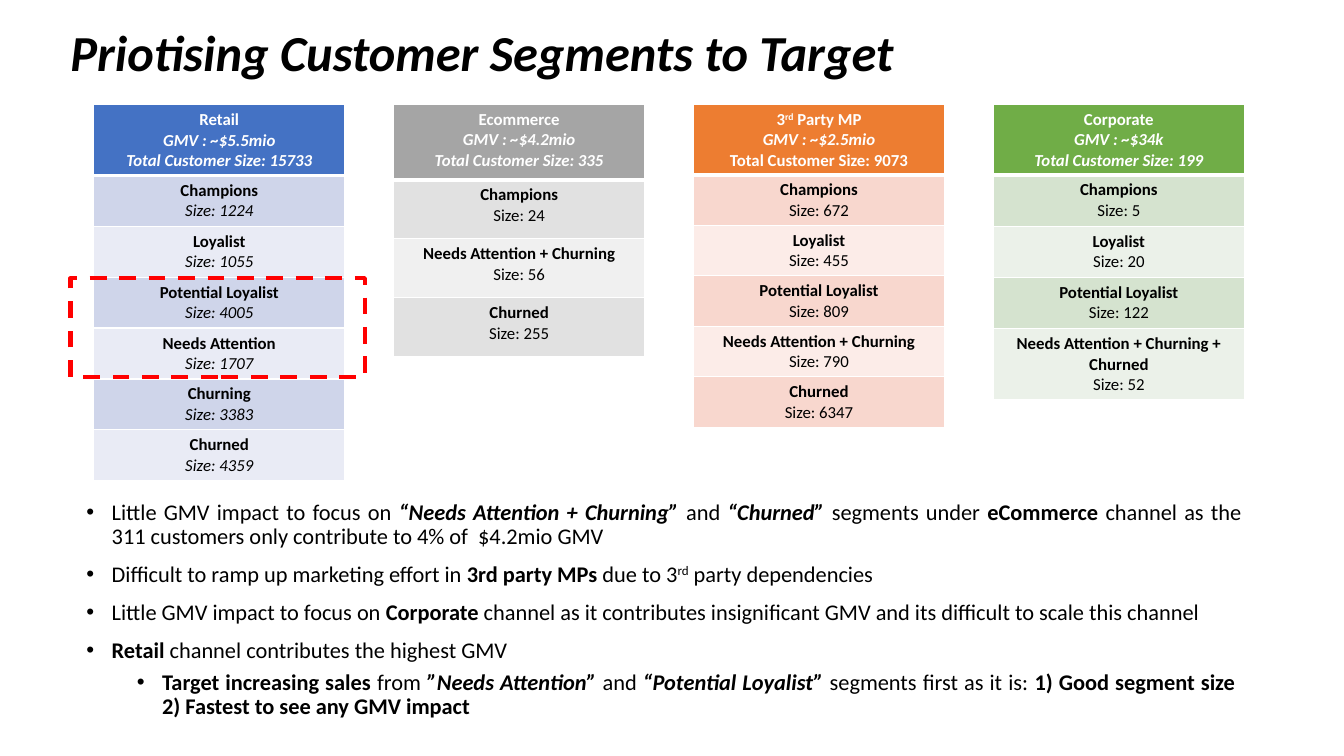
import pptx
import pptx.dml.color
import pptx.enum.dml
import pptx.enum.shapes
import pptx.enum.text
import pptx.oxml
import pptx.oxml.ns
import pptx.util

ALIGN = pptx.enum.text.PP_ALIGN
ANCHOR = pptx.enum.text.MSO_ANCHOR
FORMATS = {"b": {"bold": True}, "i": {"italic": True}}


def color(value):
    return pptx.dml.color.RGBColor.from_string(value)


class Deck:
    font_name = "Calibri"
    black, white = "000000", "FFFFFF"
    left, pitch, col_width = 6.98, 22.31, 18.68

    def __init__(self, prs):
        self.prs = prs
        self.s = prs.slides.add_slide(prs.slide_layouts[6])

    def x(self, percent):
        return int(self.prs.slide_width * percent / 100)

    def y(self, percent):
        return int(self.prs.slide_height * percent / 100)

    def box(self, left, top, width, height):
        return self.x(left), self.y(top), self.x(width), self.y(height)

    def fill_paragraph(self, p, runs, size, ink, **layout):
        for name, value in layout.items():
            setattr(p, name, value)
        for text, style in runs:
            r = p.add_run()
            r.text = text
            values = {"name": self.font_name, "size": pptx.util.Pt(size),
                      "bold": False, "italic": False}
            for key in style:
                values.update(FORMATS.get(key, {}))
            for name, value in values.items():
                setattr(r.font, name, value)
            r.font.color.rgb = color(ink)
            if "^" in style:
                r._r.get_or_add_rPr().set("baseline", "30000")

    def frame(self, area, anchor):
        tf = self.s.shapes.add_textbox(*self.box(*area)).text_frame
        tf.word_wrap = True
        tf.vertical_anchor = anchor
        return tf

    def title(self, text, area):
        tf = self.frame(area, ANCHOR.MIDDLE)
        self.fill_paragraph(tf.paragraphs[0], [(text, "bi")], 36, self.black,
                            line_spacing=0.9)

    def bullets(self, items, area):
        tf = self.frame(area, ANCHOR.TOP)
        for n, (level, runs) in enumerate(items):
            p = tf.add_paragraph() if n else tf.paragraphs[0]
            pPr = p._p.get_or_add_pPr()
            pPr.set("marL", str(pptx.util.Inches(0.25 + 0.5 * level)))
            pPr.set("indent", str(pptx.util.Inches(-0.25)))
            for tag, name, value in (("buFont", "typeface", "Arial"), ("buChar", "char", "•")):
                pPr.append(pptx.oxml.parse_xml(
                    f'<a:{tag} {pptx.oxml.ns.nsdecls("a")} {name}="{value}"/>'))
            space = (5 if level else 10) if n else 0
            self.fill_paragraph(p, runs, 16, self.black, level=level,
                                alignment=ALIGN.JUSTIFY, line_spacing=0.9,
                                space_before=pptx.util.Pt(space))

    def cell(self, cell, lines, fill, ink, bottom=1):
        tcPr = cell._tc.get_or_add_tcPr()
        for side in "LRTB":
            width = pptx.util.Pt(bottom if side == "B" else 1)
            tcPr.append(pptx.oxml.parse_xml(
                f'<a:ln{side} {pptx.oxml.ns.nsdecls("a")} w="{width}"><a:solidFill>'
                f'<a:srgbClr val="{self.white}"/></a:solidFill></a:ln{side}>'))
        cell.fill.solid()
        cell.fill.fore_color.rgb = color(fill)
        tf = cell.text_frame
        for n, runs in enumerate(lines):
            p = tf.add_paragraph() if n else tf.paragraphs[0]
            self.fill_paragraph(p, runs, 12, ink, alignment=ALIGN.CENTER)

    def segment_table(self, col, top, heights, fills, header, segments, size_style=""):
        head, body, last = heights
        rows = [head] + [body] * (len(segments) - 1) + [last]
        area = self.box(self.left + col * self.pitch, top, self.col_width, sum(rows))
        table = self.s.shapes.add_table(len(rows), 1, *area).table
        table.horz_banding = False
        for row, height in zip(table.rows, rows):
            row.height = self.y(height)
        self.cell(table.cell(0, 0), header, fills[0], self.white, bottom=3)
        for n, (name, size) in enumerate(segments):
            lines = [[(name, "b")], [(f"Size: {size}", size_style)]]
            self.cell(table.cell(n + 1, 0), lines, fills[1 + n % 2], self.black)

    def highlight(self, area, ink):
        sp = self.s.shapes.add_shape(pptx.enum.shapes.MSO_SHAPE.RECTANGLE, *self.box(*area))
        sp.shadow.inherit = False
        sp.fill.background()
        sp.line.color.rgb = color(ink)
        sp.line.width = pptx.util.Pt(3)
        sp.line.dash_style = pptx.enum.dml.MSO_LINE.DASH


CHANNELS = [
    dict(col=0, top=13.87, heights=(9.2, 6.73, 6.73), fills=("4472C4", "CFD5EA", "E9EBF5"),
         header=[[("Retail", "b")], [("GMV : ~$5.5mio", "bi")],
                 [("Total Customer Size: 15733", "bi")]],
         segments=[("Champions", 1224), ("Loyalist", 1055), ("Potential Loyalist", 4005),
                   ("Needs Attention", 1707), ("Churning", 3383), ("Churned", 4359)],
         size_style="i"),
    dict(col=1, top=13.8, heights=(10, 7.78, 7.78), fills=("A5A5A5", "E1E1E1", "F0F0F0"),
         header=[[("Ecommerce", "b")], [("GMV : ~$4.2mio", "bi")],
                 [("Total Customer Size: 335", "bi")]],
         segments=[("Champions", 24), ("Needs Attention + Churning", 56), ("Churned", 255)]),
    dict(col=2, top=13.8, heights=(9.07, 6.53, 6.53), fills=("ED7D31", "F8D7CE", "FCECE8"),
         header=[[("3", "b"), ("rd", "b^"), (" Party MP", "b")], [("GMV : ~$2.5mio", "bi")],
                 [("Total Customer Size: 9073", "b")]],
         segments=[("Champions", 672), ("Loyalist", 455), ("Potential Loyalist", 809),
                   ("Needs Attention + Churning", 790), ("Churned", 6347)]),
    dict(col=3, top=13.8, heights=(8.13, 6.78, 8.13), fills=("70AD47", "D5E3CF", "EBF1E9"),
         header=[[("Corporate", "b")], [("GMV : ~$34k", "bi")],
                 [("Total Customer Size: 199", "bi")]],
         segments=[("Champions", 5), ("Loyalist", 20), ("Potential Loyalist", 122),
                   ("Needs Attention + Churning + Churned", 52)]),
]

FINDINGS = [
    (0, [("Little GMV impact to focus on ", ""), ("“Needs Attention + Churning” ", "bi"),
         ("and ", ""), ("“Churned” ", "bi"), ("segments under ", ""), ("eCommerce", "b"),
         (" channel as the 311 customers only contribute to 4% of  $4.2mio GMV", "")]),
    (0, [("Difficult to ramp up marketing effort in ", ""), ("3rd party MPs", "b"),
         (" due to 3", ""), ("rd", "^"), (" party dependencies", "")]),
    (0, [("Little GMV impact to focus on ", ""), ("Corporate", "b"),
         (" channel as it contributes insignificant GMV and its difficult to scale"
          " this channel", "")]),
    (0, [("Retail", "b"), (" channel contributes the highest GMV", "")]),
    (1, [("Target increasing sales", "b"), (" from ", ""), ("”Needs Attention” ", "bi"),
         ("and ", ""), ("“Potential Loyalist” ", "bi"), ("segments first as it is: ", ""),
         ("1) Good segment size  2) Fastest to see any GMV impact", "b")]),
]


def main():
    prs = pptx.Presentation()
    prs.slide_width = pptx.util.Inches(13.33)
    prs.slide_height = pptx.util.Inches(7.5)
    deck = Deck(prs)
    deck.title("Priotising Customer Segments to Target", (4.5, 3.33, 86.27, 7.87))
    deck.bullets(FINDINGS, (5.7, 65.6, 87.4, 30.93))
    for channel in CHANNELS:
        deck.segment_table(**channel)
    deck.highlight((5.25, 36.8, 21.9, 13.07), "FF0000")
    prs.save("out.pptx")


if __name__ == "__main__":
    main()
